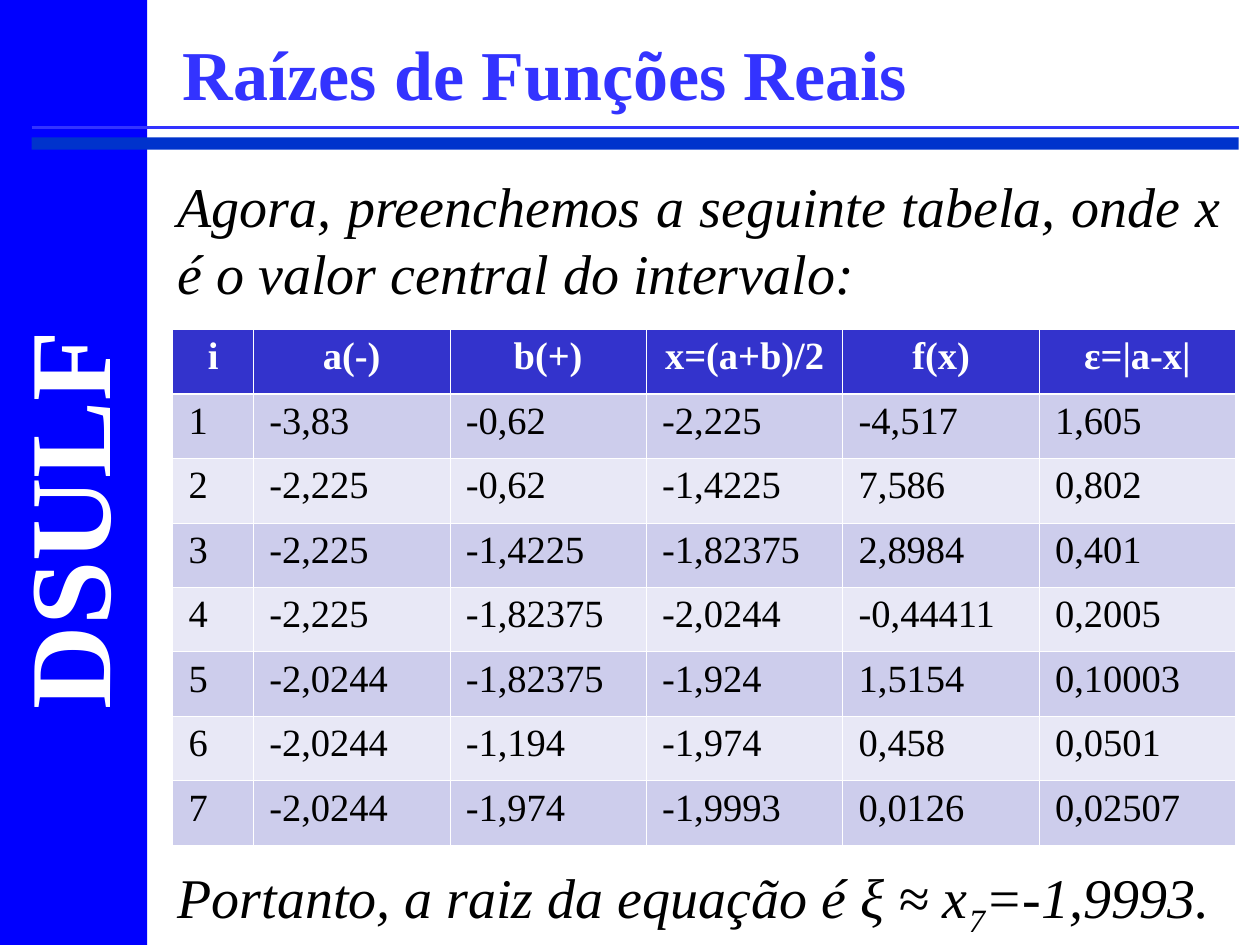
from lxml import etree
from pptx import Presentation
from pptx.dml.color import RGBColor
from pptx.enum.shapes import MSO_CONNECTOR, MSO_SHAPE
from pptx.enum.text import MSO_ANCHOR, MSO_AUTO_SIZE, PP_ALIGN
from pptx.oxml.ns import qn
from pptx.util import Cm, Pt

RECTANGLE = MSO_SHAPE.RECTANGLE
STRAIGHT = MSO_CONNECTOR.STRAIGHT
MIDDLE = MSO_ANCHOR.MIDDLE
NO_FIT = MSO_AUTO_SIZE.NONE
LEFT, CENTER, JUSTIFY = PP_ALIGN.LEFT, PP_ALIGN.CENTER, PP_ALIGN.JUSTIFY

HEADER = ["i", "a(-)", "b(+)", "x=(a+b)/2", "f(x)", "ε=|a-x|"]
ITERATIONS = [
    ["1", "-3,83", "-0,62", "-2,225", "-4,517", "1,605"],
    ["2", "-2,225", "-0,62", "-1,4225", "7,586", "0,802"],
    ["3", "-2,225", "-1,4225", "-1,82375", "2,8984", "0,401"],
    ["4", "-2,225", "-1,82375", "-2,0244", "-0,44411", "0,2005"],
    ["5", "-2,0244", "-1,82375", "-1,924", "1,5154", "0,10003"],
    ["6", "-2,0244", "-1,194", "-1,974", "0,458", "0,0501"],
    ["7", "-2,0244", "-1,974", "-1,9993", "0,0126", "0,02507"],
]


def color(value):
    return RGBColor.from_string(value)


class LessonPage:
    font = "Times New Roman"
    white, black = "FFFFFF", "000000"
    side_blue, bar_blue, title_blue = "0000FF", "0033CC", "3333FF"
    header_fill = "3333CC"
    band_fills = ["CDCDEC", "E8E8F6"]

    def __init__(self, deck):
        self.page = deck.slides.add_slide(deck.slide_layouts[5])

    def style(self, para, size, fill, bold=False, italic=False, align=LEFT):
        para.alignment = align
        for span in para.runs:
            span.font.name = self.font
            span.font.size = Pt(size)
            span.font.bold = bold
            span.font.italic = italic
            span.font.color.rgb = color(fill)

    def title(self, text, left, top, width, height):
        box = self.page.shapes.title
        box.left, box.top, box.width, box.height = left, top, width, height
        frame = box.text_frame
        frame.text = text
        frame.auto_size = NO_FIT
        frame.vertical_anchor = MIDDLE
        self.style(frame.paragraphs[0], 40, self.title_blue, bold=True)

    def bar(self, fill, left, top, width, height):
        shape = self.page.shapes.add_shape(RECTANGLE, left, top, width, height)
        shape.shadow.inherit = False
        shape.fill.solid()
        shape.fill.fore_color.rgb = color(fill)
        shape.line.fill.background()

    def rule(self, left, right, y):
        line = self.page.shapes.add_connector(STRAIGHT, left, y, right, y)
        line.line.color.rgb = color(self.title_blue)
        line.line.width = Pt(2.25)
        etree.SubElement(line._element.spPr, qn("a:effectLst"))

    def side_label(self, text, left, top, width, height):
        box = self.page.shapes.add_textbox(left, top, width, height)
        box.rotation = 270
        box.text_frame.text = text
        self.style(box.text_frame.paragraphs[0], 66, self.white, bold=True)

    def body(self, paragraphs, left, top, width, height):
        box = self.page.shapes.add_textbox(left, top, width, height)
        frame = box.text_frame
        frame.word_wrap = True
        for index, (space, spans) in enumerate(paragraphs):
            para = frame.add_paragraph() if index else frame.paragraphs[0]
            para.space_before = Pt(space)
            for text, baseline in spans:
                span = para.add_run()
                span.text = text
                if baseline:
                    span.font._element.set("baseline", str(baseline * 1000))
            self.style(para, 32, self.black, italic=True, align=JUSTIFY)

    def border(self, cell, side, width):
        properties = cell._tc.get_or_add_tcPr()
        line = etree.Element(qn(f"a:{side}"), w=str(Pt(width)))
        fill = etree.SubElement(line, qn("a:solidFill"))
        etree.SubElement(fill, qn("a:srgbClr"), val=self.white)
        properties.insert(len(properties) - 1, line)

    def table(self, rows, left, top, widths, row_height):
        table = self.page.shapes.add_table(
            len(rows), len(widths), left, top, sum(widths), row_height * len(rows)
        ).table
        for column, width in zip(table.columns, widths):
            column.width = width
        for r, values in enumerate(rows):
            table.rows[r].height = row_height
            header = r == 0
            for c, text in enumerate(values):
                cell = table.cell(r, c)
                cell.text = text
                cell.margin_left = cell.margin_right = Cm(0.32)
                cell.fill.solid()
                cell.fill.fore_color.rgb = color(
                    self.header_fill if header else self.band_fills[(r - 1) % 2]
                )
                self.style(
                    cell.text_frame.paragraphs[0],
                    22,
                    self.white if header else self.black,
                    bold=header,
                    align=CENTER if header else LEFT,
                )
                self.border(cell, "lnL", 0.45)
                self.border(cell, "lnR", 0.45)
                self.border(cell, "lnT", 1.47 if r == 1 else 0.45)
                self.border(cell, "lnB", 1.47 if header else 0.45)


def main():
    deck = Presentation()
    deck.slide_width, deck.slide_height = Cm(25.4), Cm(19.05)
    lesson = LessonPage(deck)
    lesson.bar(lesson.side_blue, 0, 0, Cm(2.97), deck.slide_height)
    lesson.bar(lesson.bar_blue, Cm(0.64), Cm(2.77), Cm(24.33), Cm(0.25))
    lesson.rule(Cm(0.64), Cm(24.97), Cm(2.57))
    lesson.side_label("DSULF", Cm(-2.82), Cm(8.89), Cm(8.26), Cm(3.05))
    lesson.title("Raízes de Funções Reais", Cm(3.43), Cm(0.2), Cm(21.56), Cm(2.54))
    lesson.body(
        [
            (6, [("Agora, preenchemos a seguinte tabela, onde x "
                  "é o valor central do intervalo:", 0)]),
            (318, [("Portanto, a raiz da equação é ξ ≈ x", 0), ("7", -25),
                   ("=-1,9993.", 0)]),
        ],
        Cm(3.33), Cm(3.33), Cm(21.56), Cm(15.01),
    )
    lesson.table(
        [HEADER] + ITERATIONS,
        Cm(3.48), Cm(6.64), [Cm(1.63)] + [Cm(3.96)] * 5, Cm(1.3),
    )
    deck.save("out.pptx")


if __name__ == "__main__":
    main()
